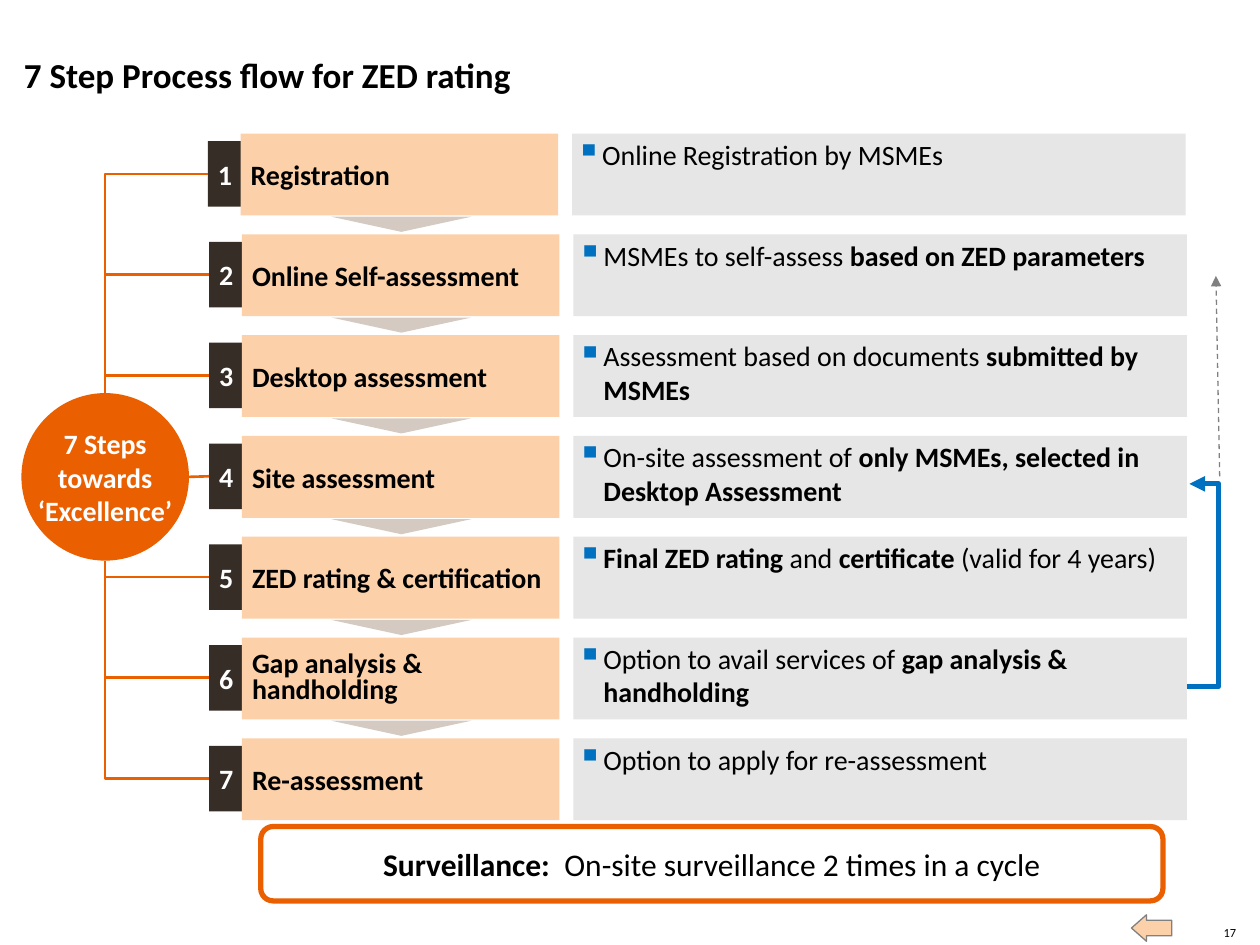
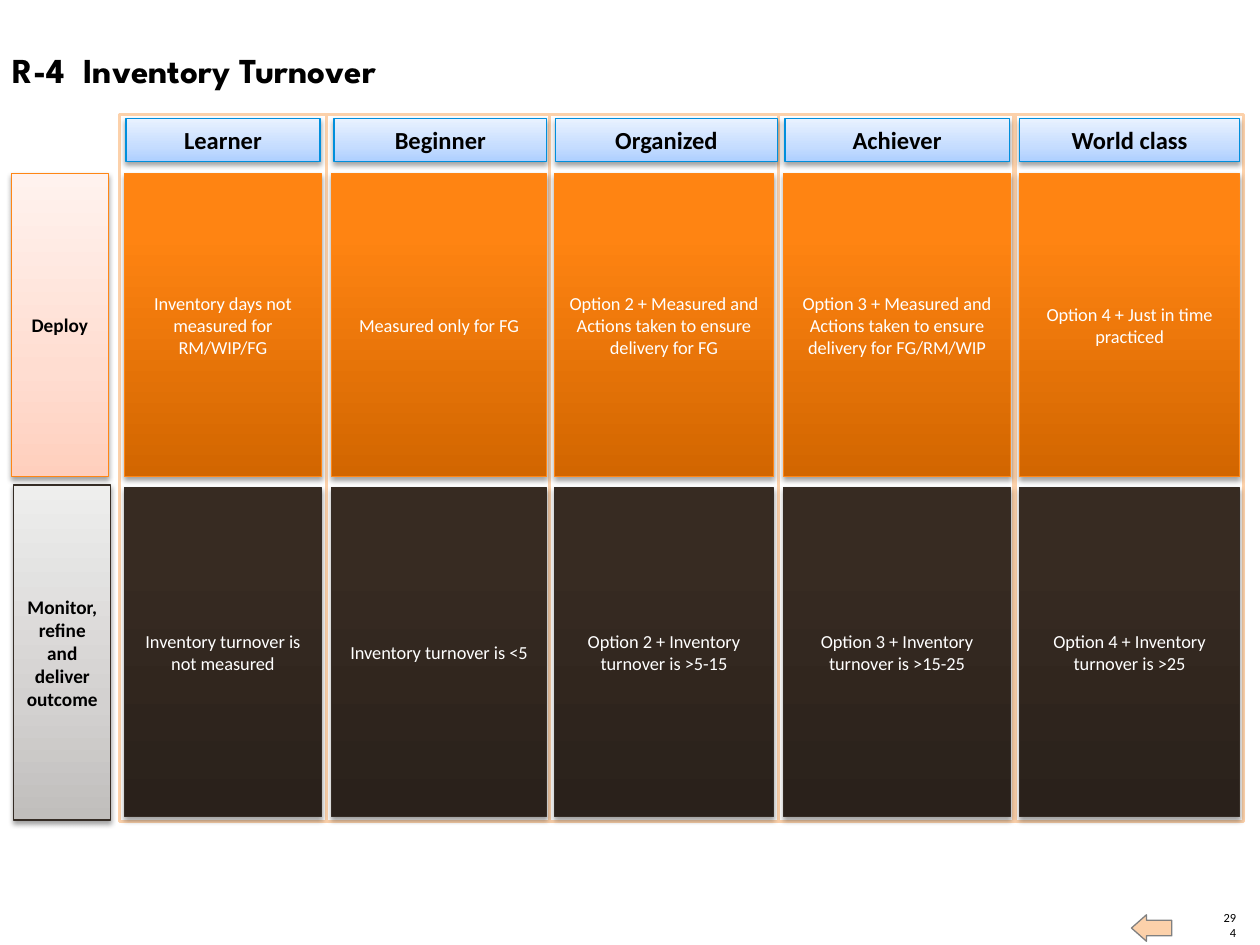
from lxml.etree import SubElement
from pptx import Presentation
from pptx.dml.color import RGBColor
from pptx.enum.dml import MSO_LINE
from pptx.enum.shapes import MSO_CONNECTOR as LINK, MSO_SHAPE as SHAPE
from pptx.enum.text import MSO_ANCHOR as ANCHOR, PP_ALIGN as ALIGN
from pptx.oxml.ns import qn
from pptx.util import Inches, Pt

COLORS = {
    "black": "000000", "white": "FFFFFF", "orange": "EA5F00", "peach": "FCD1AA",
    "brown": "362D26", "gray": "E6E6E6", "taupe": "D4CAC2", "blue": "0070C0",
    "mid_gray": "808080", "bright_orange": "FF8615", "dark_line": "352C25",
    "head_line": "008FDC",
}
GRADIENTS = {  # (position in percent, colour), from bottom to top
    "pale_orange": [(0, "FFCFBD"), (35, "FFDDD1"), (100, "FFF2EE")],
    "pale_gray": [(0, "C0BEBC"), (35, "D3D1D0"), (100, "EEEEED")],
    "pale_blue": [(0, "AECFFF"), (35, "C6DDFF"), (100, "E9F2FF")],
    "deep_orange": [(0, "D26600"), (80, "FF8412"), (100, "FF8514")],
    "deep_brown": [(0, "2A211B"), (80, "372B22"), (100, "372B22")],
}


def add_box(page, kind, place, fill, line=None, width=0.75):
    """Add a preset shape; a gradient fill also brings a soft shadow."""
    box = page.shapes.add_shape(kind, *map(Inches, place))
    box.shadow.inherit = False
    if line:
        box.line.color.rgb = RGBColor.from_string(COLORS[line])
        box.line.width = Pt(width)
    else:
        box.line.fill.background()
    if fill in COLORS:
        box.fill.solid()
        box.fill.fore_color.rgb = RGBColor.from_string(COLORS[fill])
        return box
    box.fill.gradient()
    box.fill.gradient_angle = 90
    stops = box.element.xpath(".//a:gsLst")[0]
    for stop in list(stops):
        stops.remove(stop)
    for position, color in GRADIENTS[fill]:
        stop = SubElement(stops, qn("a:gs"), pos=str(position * 1000))
        SubElement(stop, qn("a:srgbClr"), val=color)
    effects = box.element.xpath("./p:spPr/a:effectLst")[0]
    shadow = SubElement(effects, qn("a:outerShdw"), blurRad=str(Pt(3.1)),
                        dist=str(Pt(1.7)), dir="5400000", rotWithShape="0")
    tint = SubElement(shadow, qn("a:srgbClr"), val=COLORS["black"])
    SubElement(tint, qn("a:alpha"), val="37000")
    return box


def write(box, spans, size, color="black", font="Calibri", align=ALIGN.CENTER,
          anchor=ANCHOR.MIDDLE, inset=None, wrap=True):
    """Write (text, bold) spans as one paragraph and return it."""
    frame = box.text_frame
    layout = {"word_wrap": wrap, "vertical_anchor": anchor}
    if inset is not None:
        for side in ("left", "top", "right", "bottom"):
            layout["margin_" + side] = Inches(inset)
    for name, value in layout.items():
        setattr(frame, name, value)
    para = frame.paragraphs[0]
    para.alignment = align
    for text, bold in spans:
        for number, line in enumerate(text.split("\n")):
            if number:
                para.add_line_break()
            span = para.add_run()
            span.text = line
            for name, value in {"size": Pt(size), "name": font, "bold": bold}.items():
                setattr(span.font, name, value)
            span.font.color.rgb = RGBColor.from_string(COLORS[color])
    return para


deck = Presentation()
deck.slide_width, deck.slide_height = Inches(10), Inches(7.5)

# Title, page number and back arrow on both slides
pages = []
for number, title, left, top, font in [
    ("17", "7 Step Process flow for ZED rating", 0.19, 0.42, "Calibri"),
    ("294", "R-4  Inventory Turnover", 0.1, 0.38, "League Spartan"),
]:
    page = deck.slides.add_slide(deck.slide_layouts[6])
    pages.append(page)
    box = page.shapes.add_textbox(*map(Inches, (9.69, 7.34, 0.12, 0.12)))
    write(box, [(number, False)], 7.1, align=ALIGN.RIGHT, anchor=ANCHOR.BOTTOM, inset=0)
    arrow = add_box(page, SHAPE.RIGHT_ARROW, (8.98, 7.26, 0.32, 0.21), "peach", "mid_gray")
    arrow.rotation = 180
    arrow.adjustments[0], arrow.adjustments[1] = 0.588, 0.565
    box = page.shapes.add_textbox(*map(Inches, (left, top, 7.65, 0.34)))
    write(box, [(title, True)], 20, font=font, align=ALIGN.LEFT,
          anchor=ANCHOR.BOTTOM, inset=0)
flow_page, matrix_page = pages

# Slide 1: hub circle
hub = add_box(flow_page, SHAPE.OVAL, (0.17, 3.12, 1.33, 1.33), "orange")
write(hub, [("7 Steps\ntowards\n‘Excellence’", True)], 16, "white", wrap=False)

# Slide 1: seven steps, each linked to the hub
STEPS = [
    ("Registration", [("Online Registration by MSMEs", False)]),
    ("Online Self-assessment",
     [("MSMEs to self-assess ", False), ("based on ZED parameters", True)]),
    ("Desktop assessment",
     [("Assessment based on documents", False), (" submitted by MSMEs", True)]),
    ("Site assessment",
     [("On-site assessment of ", False),
      ("only MSMEs, selected in Desktop Assessment", True)]),
    ("ZED rating & certification",
     [("Final ZED rating ", True), ("and ", False), ("certificate ", True),
      ("(valid for 4 years)", False)]),
    ("Gap analysis & handholding",
     [("Option to avail services of ", False), ("gap analysis & handholding", True)]),
    ("Re-assessment", [("Option to apply for re-assessment", False)]),
]
links = []  # connector, colour, width, dash, arrowhead
for row, (step, details) in enumerate(STEPS):
    top = 1.06 + 0.8 * row
    shift = 0 if row else -0.01
    if row < len(STEPS) - 1:
        pointer = add_box(flow_page, SHAPE.ISOSCELES_TRIANGLE,
                          (2.63, top + 0.66, 1.11, 0.12), "taupe")
        pointer.rotation = 180

    detail = add_box(flow_page, SHAPE.RECTANGLE, (4.55 + shift, top, 4.87, 0.65), "gray")
    para = write(detail, details, 16, align=ALIGN.LEFT, anchor=ANCHOR.TOP, inset=0.03)
    para.level = 1
    props = para._p.get_or_add_pPr()
    props.set("marL", str(Inches(0.21)))
    props.set("indent", str(Inches(-0.21)))
    tint = SubElement(props, qn("a:buClr"))
    SubElement(tint, qn("a:srgbClr"), val=COLORS["blue"])
    SubElement(props, qn("a:buSzPct"), val="125000")
    SubElement(props, qn("a:buChar"), char="▪")

    badge = add_box(flow_page, SHAPE.RECTANGLE,
                    (1.66 + shift, top + 0.06, 0.27, 0.52), "brown")
    write(badge, [(str(row + 1), True)], 16, "white", inset=0)
    label = add_box(flow_page, SHAPE.RECTANGLE, (1.92 + shift, top, 2.52, 0.65), "peach")
    para = write(label, [(step, True)], 16, align=ALIGN.LEFT, inset=0.08)
    if step.startswith("Gap"):
        para.line_spacing = 0.8

    # Steps above leave the hub's top, step 4 its right, steps below its bottom
    side = 0 if row < 3 else 3 if row == 3 else 2
    kind = LINK.STRAIGHT if side == 3 else LINK.ELBOW
    link = flow_page.shapes.add_connector(kind, 0, 0, 0, 0)
    link.begin_connect(badge, 1)
    link.end_connect(hub, side)
    # An ellipse has eight connection sites, so each side counts double
    link.element.xpath(".//a:endCxn")[0].set("idx", str(2 * side))
    if kind == LINK.ELBOW:
        link.element.xpath(".//a:prstGeom")[0].set("prst", "bentConnector2")
    links.append((link, "orange", 1.5, False, False))

# Slide 1: return arrows at the right
link = flow_page.shapes.add_connector(LINK.ELBOW, *map(Inches, (9.42, 5.45, 9.44, 3.84)))
guides = link.element.xpath(".//a:prstGeom")[0].get_or_add_avLst()
SubElement(guides, qn("a:gd"), name="adj1", fmla="val 1250000")
links.append((link, "blue", 3, False, True))
link = flow_page.shapes.add_connector(LINK.STRAIGHT, *map(Inches, (9.68, 3.78, 9.65, 2.19)))
links.append((link, "mid_gray", 0.75, True, True))

for link, color, width, dashed, arrow in links:
    link.line.color.rgb = RGBColor.from_string(COLORS[color])
    link.line.width = Pt(width)
    if dashed:
        link.line.dash_style = MSO_LINE.DASH
    if arrow:
        SubElement(link.line._get_or_add_ln(), qn("a:tailEnd"), type="triangle")
    SubElement(link.element.spPr, qn("a:effectLst"))

# Slide 1: surveillance note
note = add_box(flow_page, SHAPE.ROUNDED_RECTANGLE, (2.07, 6.56, 7.16, 0.59),
               "white", "orange", 3)
write(note, [("Surveillance:  ", True), ("On-site surveillance 2 times in a cycle", False)],
      18, inset=0.08)

# Slide 2: row labels
for text, place, fill, line in [
    ("Deploy", (0.09, 1.38, 0.77, 2.4), "pale_orange", "bright_orange"),
    ("Monitor, refine and deliver outcome", (0.11, 3.85, 0.77, 2.66),
     "pale_gray", "dark_line"),
]:
    box = add_box(matrix_page, SHAPE.RECTANGLE, place, fill, line)
    write(box, [(text, True)], 11)

# Slide 2: maturity levels, with left and width of frame, heading and cells
LEVELS = [
    ("Learner", (0.95, 1.64), (1, 1.54), (0.99, 1.56),
     "Inventory days not measured for RM/WIP/FG", "Inventory turnover is not measured"),
    ("Beginner", (2.59, 1.79), (2.65, 1.69), (2.63, 1.71),
     "Measured only for FG", "Inventory turnover is <5"),
    ("Organized", (4.36, 1.82), (4.41, 1.76), (4.4, 1.74),
     "Option 2 + Measured and Actions taken to ensure delivery for FG",
     "Option 2 + Inventory turnover is >5-15"),
    ("Achiever", (6.18, 1.87), (6.23, 1.78), (6.22, 1.8),
     "Option 3 + Measured and Actions taken to ensure delivery for FG/RM/WIP",
     "Option 3 + Inventory turnover is >15-25"),
    ("World class", (8.06, 1.81), (8.09, 1.75), (8.09, 1.75),
     "Option 4 + Just in time practiced", "Option 4 + Inventory turnover is >25"),
]
for _, (left, width), *_ in LEVELS:
    add_box(matrix_page, SHAPE.RECTANGLE, (left, 0.91, width, 5.61), "white", "peach", 2)
for level, _, head, cell, deploy, outcome in LEVELS:
    for text, (left, width), top, height, fill, line, size, bold, color in [
        (level, head, 0.94, 0.34, "pale_blue", "head_line", 14, True, "black"),
        (deploy, cell, 1.38, 2.4, "deep_orange", "bright_orange", 10.5, False, "white"),
        (outcome, cell, 3.87, 2.61, "deep_brown", "dark_line", 10.5, False, "white"),
    ]:
        box = add_box(matrix_page, SHAPE.RECTANGLE, (left, top, width, height), fill, line)
        write(box, [(text, bold)], size, color)

deck.save("out.pptx")
